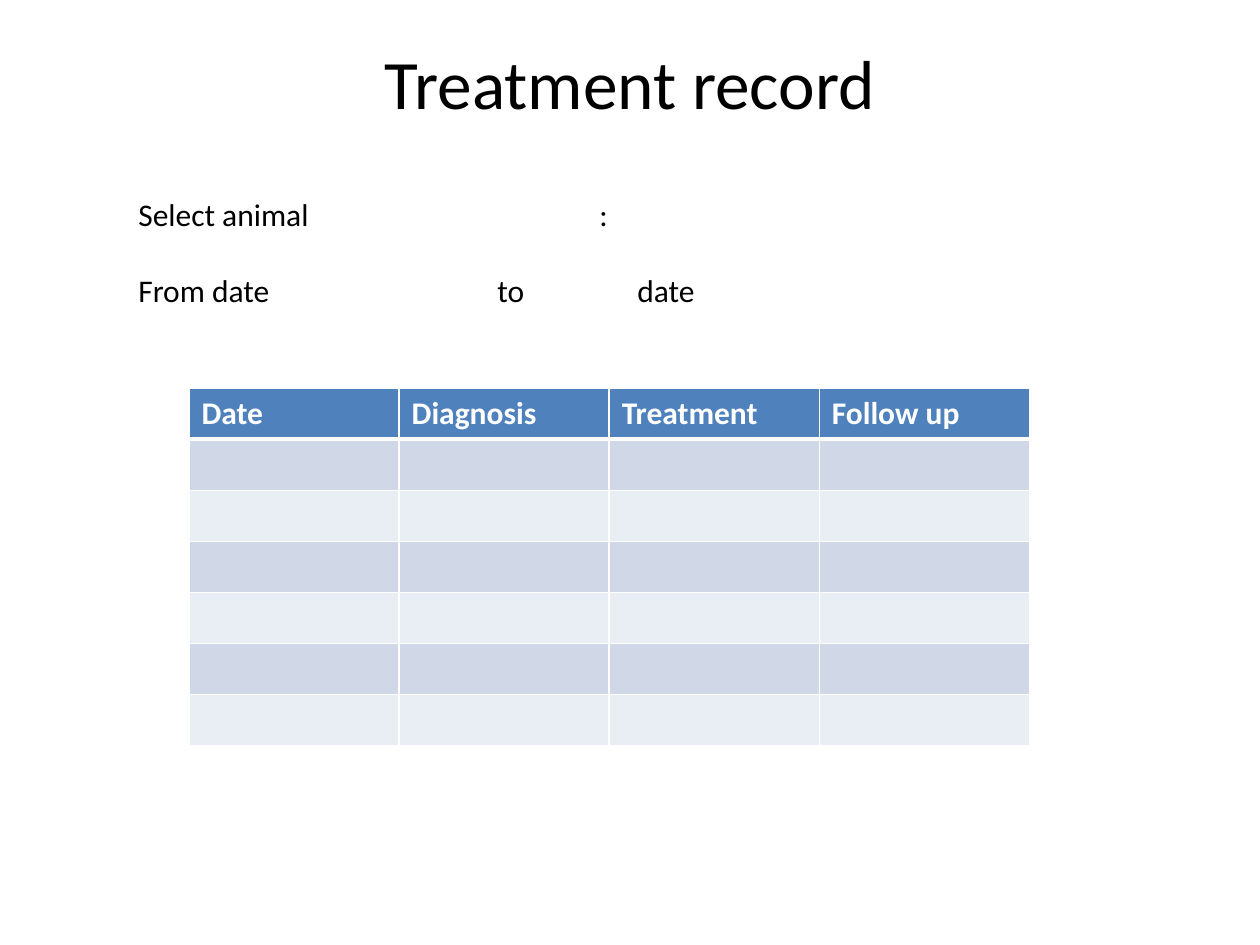
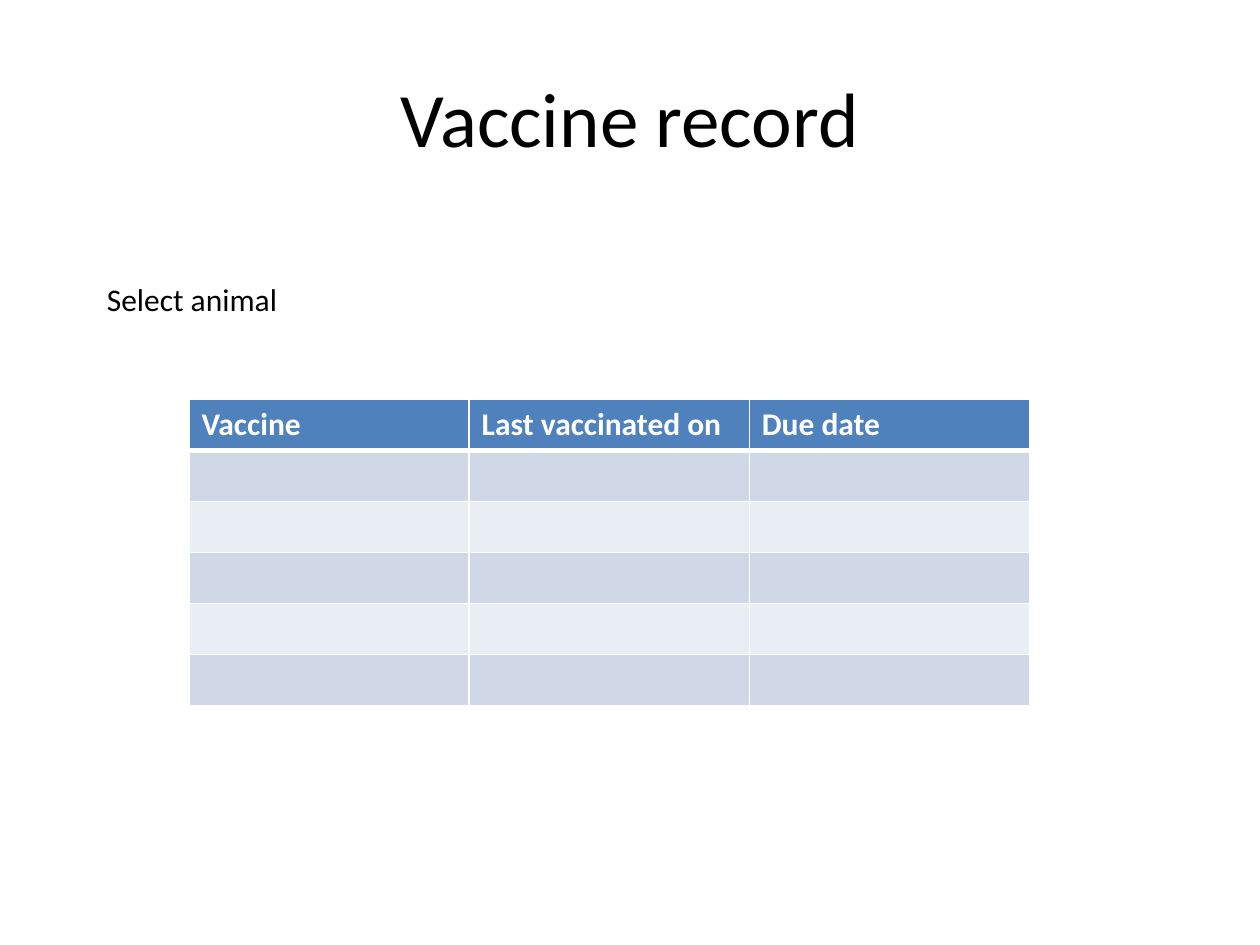
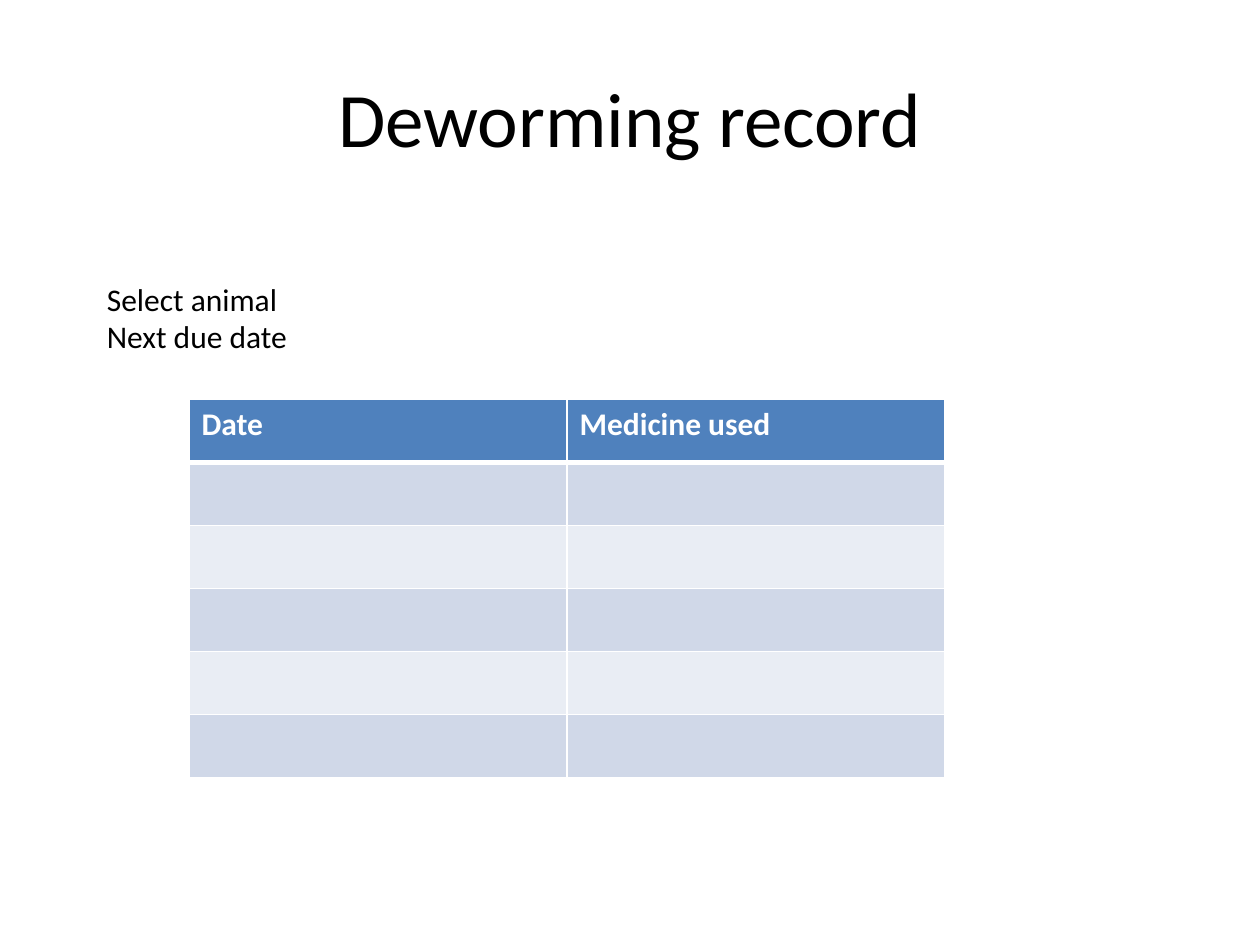
from dataclasses import dataclass

from lxml import etree
from pptx import Presentation
from pptx import util as u
from pptx.dml.color import RGBColor
from pptx.enum import text
from pptx.oxml.ns import qn


@dataclass(frozen=True)
class Theme:
    font: str = "Calibri"
    ink: str = "000000"
    white: str = "FFFFFF"
    header: str = "4F81BD"
    bands: tuple = ("D0D8E8", "E9EDF4")
    title_size: float = 44
    body_size: float = 18
    rule: float = 1
    header_rule: float = 3


class Deck:
    """Holds the theme and the slide being filled."""

    def __init__(self, theme):
        self.theme = theme
        self.prs = Presentation()
        self.prs.slide_width, self.prs.slide_height = u.Inches(10), u.Inches(7.5)
        self.s = None

    def font(self, p, size, color, bold=False):
        f = p.font
        f.name, f.size, f.bold = self.theme.font, u.Pt(size), bold
        f.color.rgb = RGBColor.from_string(color)

    def slide(self, title, height=1.25, size=None):
        self.s = self.prs.slides.add_slide(self.prs.slide_layouts[5])
        sp = self.s.shapes.title
        sp.left, sp.top = u.Inches(0.5), u.Inches(0.3)
        sp.width, sp.height = u.Inches(9), u.Inches(height)
        tf = sp.text_frame
        tf.text = title
        tf.auto_size = text.MSO_AUTO_SIZE.NONE
        tf.vertical_anchor = text.MSO_ANCHOR.MIDDLE
        p = tf.paragraphs[0]
        p.alignment = text.PP_ALIGN.CENTER
        self.font(p, size or self.theme.title_size, self.theme.ink)

    def fields(self, x, y, w, h, lines, gap=0):
        """Form labels; each line is (text, tab stops in inches)."""
        sp = self.s.shapes.add_textbox(*map(u.Inches, (x, y, w, h)))
        tf = sp.text_frame
        tf.word_wrap = True
        for i, (label, stops) in enumerate(lines):
            p = tf.add_paragraph() if i else tf.paragraphs[0]
            p.text = label
            p.space_before = u.Pt(gap if i else 0)
            self.font(p, self.theme.body_size, self.theme.ink)
            if stops:
                self.tabs(p, stops)

    def tabs(self, p, stops):
        tab_list = etree.Element(qn("a:tabLst"))
        for stop in stops:
            etree.SubElement(tab_list, qn("a:tab"), pos=str(u.Inches(stop)), algn="l")
        # Tab stops come before the default run properties
        p._p.pPr.find(qn("a:defRPr")).addprevious(tab_list)

    def borders(self, cell, top, bottom):
        tc_pr = cell._tc.get_or_add_tcPr()
        rule = self.theme.rule
        for side, width in zip("LRTB", (rule, rule, top, bottom)):
            ln = etree.SubElement(tc_pr, qn(f"a:ln{side}"), w=str(u.Pt(width)))
            fill = etree.SubElement(ln, qn("a:solidFill"))
            etree.SubElement(fill, qn("a:srgbClr"), val=self.theme.white)

    def table(self, y, w, h, headings, blank_rows):
        """A heading row above banded rows left blank for entries."""
        t = self.theme
        frame = self.s.shapes.add_table(blank_rows + 1, len(headings),
                                        *map(u.Inches, (1.5, y, w, h)))
        for i, row in enumerate(frame.table.rows):
            for j, cell in enumerate(row.cells):
                self.borders(cell, t.header_rule if i == 1 else t.rule,
                             t.header_rule if i == 0 else t.rule)
                cell.fill.solid()
                color = t.bands[(i - 1) % 2] if i else t.header
                cell.fill.fore_color.rgb = RGBColor.from_string(color)
                p = cell.text_frame.paragraphs[0]
                if i == 0:
                    p.text = headings[j]
                    self.font(p, t.body_size, t.white, bold=True)


deck = Deck(Theme())

# Treatment record
deck.slide("Treatment record", height=0.7, size=39.6)
deck.fields(1, 1.5, 4.76, 1.01,
            [("Select animal\t:", [3.66]), ("From date\tto\tdate", [2.85, 3.96])],
            gap=22)
deck.table(3.08, 6.67, 2.84, ["Date", "Diagnosis", "Treatment", "Follow up"], 6)

# Vaccine record
deck.slide("Vaccine record")
deck.fields(0.75, 2.17, 1.63, 1.01, [("Select animal", [])])
deck.table(3.17, 6.67, 2.43, ["Vaccine", "Last vaccinated on", "Due date"], 5)

# Deworming record
deck.slide("Deworming record")
deck.fields(0.75, 2.17, 1.71, 1.31, [("Select animal", []), ("Next due date", [])])
deck.table(3.17, 6, 3, ["Date", "Medicine used"], 5)

deck.prs.save("out.pptx")
